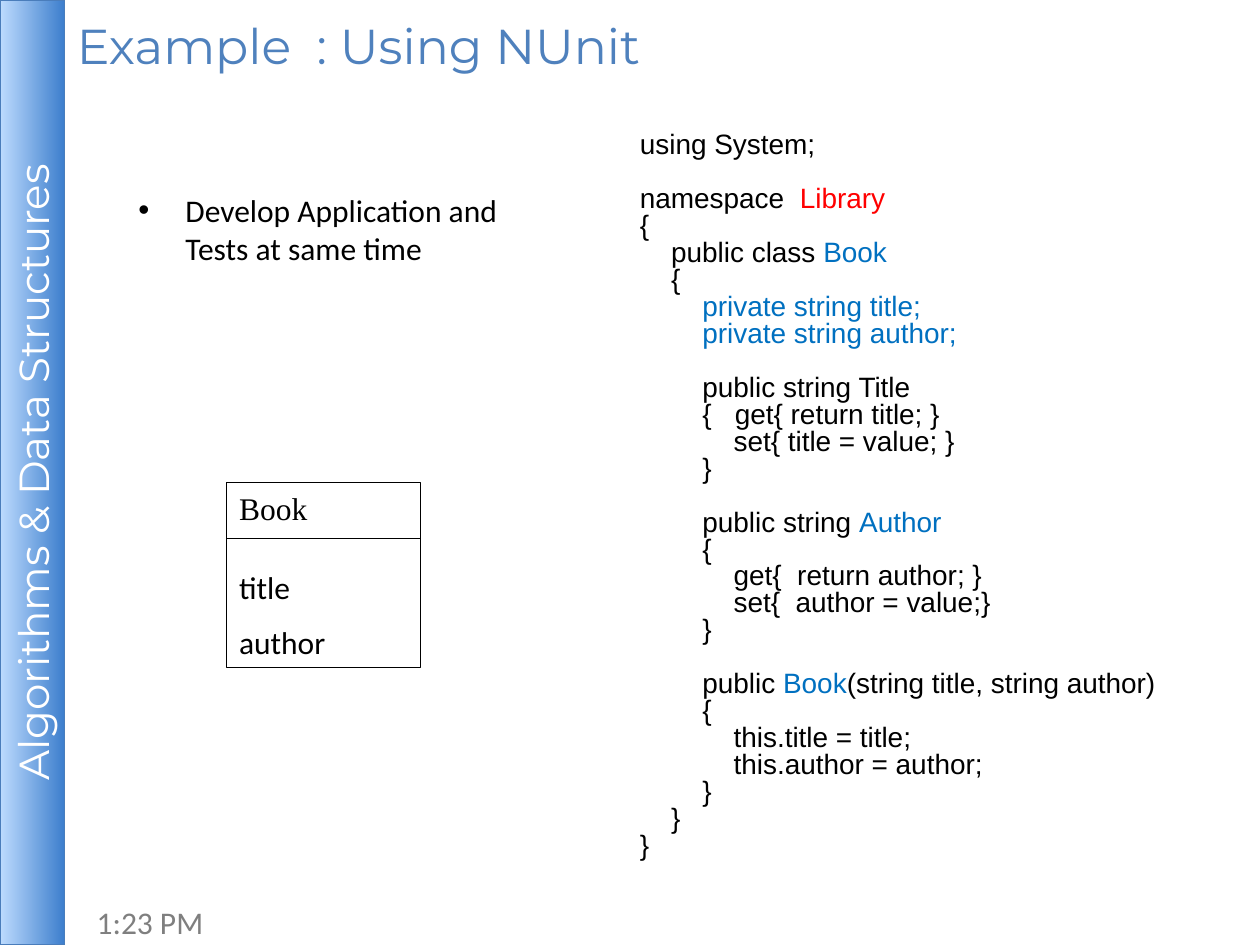
from dataclasses import dataclass

from lxml import etree
from pptx import Presentation
from pptx.dml.color import RGBColor
from pptx.enum import shapes, text
from pptx.oxml import ns
from pptx.util import Cm, Pt


@dataclass(frozen=True)
class Theme:
    black: str = "000000"
    white: str = "FFFFFF"
    grey: str = "7F7F7F"
    red: str = "FF0000"
    blue: str = "0070C0"
    title_blue: str = "4F81BD"
    bar_line: str = "4A7DBB"
    bar_light: str = "BDDBFE"
    bar_dark: str = "3E7FCD"
    heading_font: str = "Montserrat"
    body_font: str = "Calibri"
    code_font: str = "Arial"
    class_font: str = "Times New Roman"
    title_size: float = 28
    bar_size: float = 24
    body_size: float = 18
    code_size: float = 16
    code_pitch: float = 15.4
    line_width: float = 0.75


THEME = Theme()
CODE_INDENT = Cm(0.63)

# Each entry: indent level, blank line before, coloured pieces
CODE = [
    (0, False, [("using System;", THEME.black)]),
    (0, True, [("namespace  ", THEME.black), ("Library", THEME.red)]),
    (0, False, [("{", THEME.black)]),
    (1, False, [("public class ", THEME.black), ("Book", THEME.blue)]),
    (1, False, [("{", THEME.black)]),
    (2, False, [("private string title;", THEME.blue)]),
    (2, False, [("private string author;", THEME.blue)]),
    (2, True, [("public string Title", THEME.black)]),
    (2, False, [("{   get{ return title; }", THEME.black)]),
    (3, False, [("set{ title = value; }", THEME.black)]),
    (2, False, [("}", THEME.black)]),
    (2, True, [("public string ", THEME.black), ("Author", THEME.blue)]),
    (2, False, [("{", THEME.black)]),
    (3, False, [("get{  return author; }", THEME.black)]),
    (3, False, [("set{  author = value;}", THEME.black)]),
    (2, False, [("}", THEME.black)]),
    (2, True, [("public ", THEME.black), ("Book", THEME.blue),
               ("(string title, string author)", THEME.black)]),
    (2, False, [("{", THEME.black)]),
    (3, False, [("this.title = title;", THEME.black)]),
    (3, False, [("this.author = author;", THEME.black)]),
    (2, False, [("}", THEME.black)]),
    (1, False, [("}", THEME.black)]),
    (0, False, [("}", THEME.black)]),
]


def rgb(color):
    return RGBColor.from_string(color)


def style_font(font, name, size, color):
    font.name = name
    font.size = Pt(size)
    font.color.rgb = rgb(color)


def style_paragraph(paragraph, name, size, color):
    for run in paragraph.runs:
        style_font(run.font, name, size, color)


def style_line(line, color):
    line.color.rgb = rgb(color)
    line.width = Pt(THEME.line_width)


def set_indent(paragraph, margin, first_line=0):
    properties = paragraph._p.get_or_add_pPr()
    properties.set("marL", str(int(margin)))
    properties.set("indent", str(int(first_line)))
    return properties


def add_text(slide, left, top, width, height, content, name, size, color):
    box = slide.shapes.add_textbox(Cm(left), Cm(top), Cm(width), Cm(height))
    box.text_frame.word_wrap = True
    box.text_frame.text = content
    style_paragraph(box.text_frame.paragraphs[0], name, size, color)
    return box.text_frame


def add_rectangle(slide, left, top, width, height, line_color):
    shape = slide.shapes.add_shape(
        shapes.MSO_SHAPE.RECTANGLE, Cm(left), Cm(top), Cm(width), Cm(height))
    shape.shadow.inherit = False
    style_line(shape.line, line_color)
    return shape


def add_course_bar(slide):
    bar = add_rectangle(slide, 0, 0, 1.3, 19.05, THEME.bar_line)
    bar.fill.gradient()
    bar.fill.gradient_angle = 0
    colors = (THEME.bar_light, THEME.bar_dark)
    for position, (stop, color) in enumerate(zip(bar.fill.gradient_stops, colors)):
        stop.position = position
        stop.color.rgb = rgb(color)
    frame = bar.text_frame
    frame.margin_left = frame.margin_right = Cm(0.1)
    frame.margin_top = frame.margin_bottom = Cm(0.1)
    frame.vertical_anchor = text.MSO_ANCHOR.MIDDLE
    frame._txBody.bodyPr.set("vert", "vert270")
    frame.text = "Algorithms & Data Structures"
    paragraph = frame.paragraphs[0]
    paragraph.alignment = text.PP_ALIGN.CENTER
    style_paragraph(paragraph, THEME.heading_font, THEME.bar_size, THEME.white)


def add_bullet(slide, content):
    frame = add_text(slide, 2.54, 3.73, 7.77, 12.57, content,
                     THEME.body_font, THEME.body_size, THEME.black)
    properties = set_indent(frame.paragraphs[0], Cm(0.95), Cm(-0.95))
    etree.SubElement(properties, ns.qn("a:buFont")).set("typeface", THEME.code_font)
    etree.SubElement(properties, ns.qn("a:buChar")).set("char", "•")


def add_code(slide):
    box = slide.shapes.add_textbox(Cm(12.65), Cm(2.57), Cm(11), Cm(12.57))
    frame = box.text_frame
    frame.word_wrap = True
    for number, (level, gap, pieces) in enumerate(CODE):
        paragraph = frame.add_paragraph() if number else frame.paragraphs[0]
        set_indent(paragraph, level * CODE_INDENT)
        paragraph.line_spacing = Pt(THEME.code_pitch)
        paragraph.space_before = Pt(THEME.code_pitch if gap else 0)
        for content, color in pieces:
            run = paragraph.add_run()
            run.text = content
            style_font(run.font, THEME.code_font, THEME.code_size, color)


def add_class_box(slide, name, fields):
    left, top, width, height, header = 4.57, 9.73, 3.91, 3.73, 1.12
    box = add_rectangle(slide, left, top, width, height, THEME.black)
    box.fill.background()
    frame = box.text_frame
    frame.vertical_anchor = text.MSO_ANCHOR.TOP
    frame.text = "\n".join([name, *fields])
    for number, paragraph in enumerate(frame.paragraphs):
        paragraph.alignment = text.PP_ALIGN.LEFT
        paragraph.space_after = Pt(10 if number else 23.4)
        font_name = THEME.body_font if number else THEME.class_font
        style_paragraph(paragraph, font_name, THEME.body_size, THEME.black)
    divider = slide.shapes.add_connector(
        shapes.MSO_CONNECTOR.STRAIGHT, Cm(left), Cm(top + header),
        Cm(left + width), Cm(top + header))
    style_line(divider.line, THEME.black)
    etree.SubElement(divider._element.spPr, ns.qn("a:effectLst"))


def main():
    presentation = Presentation()
    presentation.slide_width = Cm(25.4)
    presentation.slide_height = Cm(19.05)
    slide = presentation.slides.add_slide(presentation.slide_layouts[6])
    add_text(slide, 1.7, 18.08, 5.92, 1.02, "1:23 PM",
             THEME.body_font, THEME.body_size, THEME.grey)
    add_course_bar(slide)
    add_bullet(slide, "Develop Application and Tests at same time")
    add_code(slide)
    add_class_box(slide, "Book", ["title", "author"])
    title = add_text(slide, 1.3, -0.08, 19.05, 1.98, "Example  : Using NUnit",
                     THEME.heading_font, THEME.title_size, THEME.title_blue)
    title.vertical_anchor = text.MSO_ANCHOR.MIDDLE
    presentation.save("out.pptx")


if __name__ == "__main__":
    main()
